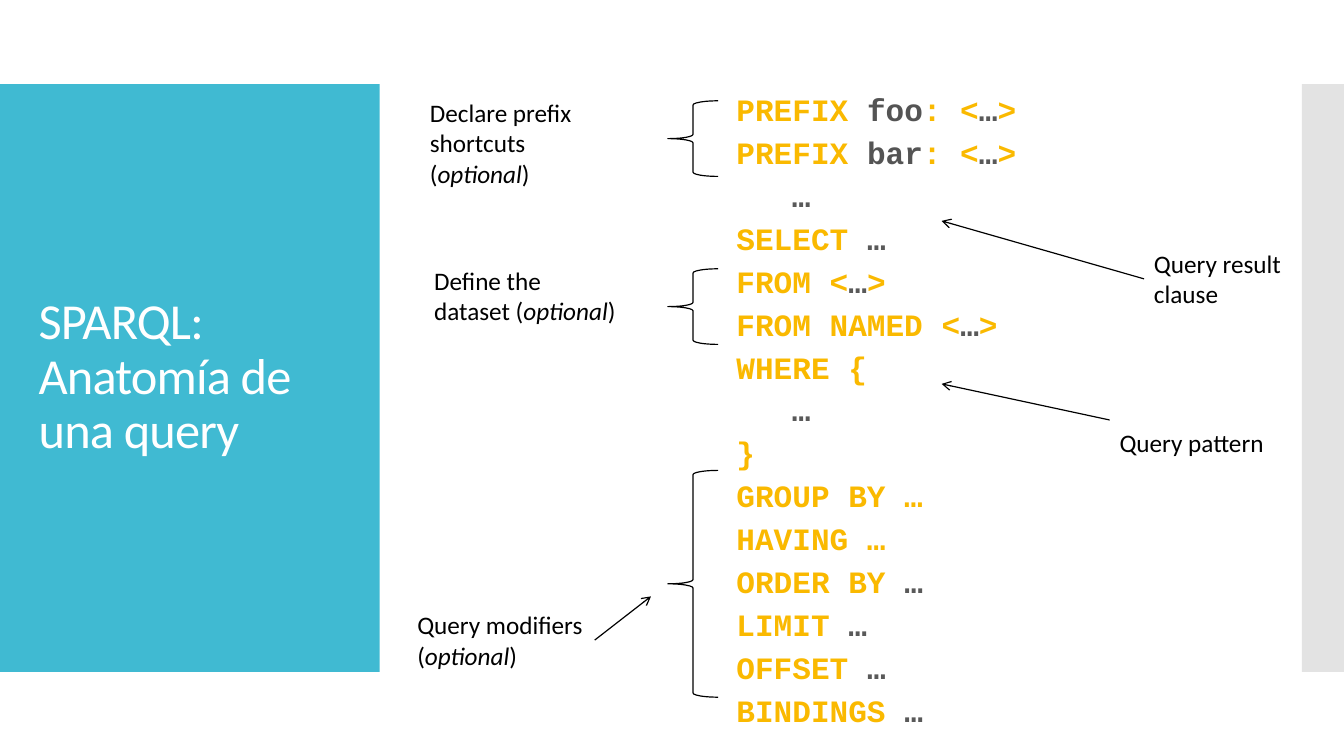
from lxml import etree
from pptx import Presentation
from pptx.dml.color import RGBColor
from pptx.enum.shapes import MSO_CONNECTOR, MSO_SHAPE
from pptx.enum.text import MSO_ANCHOR, PP_ALIGN
from pptx.oxml.ns import qn
from pptx.util import Inches, Pt

RECTANGLE = MSO_SHAPE.RECTANGLE
BRACE = MSO_SHAPE.RIGHT_BRACE
STRAIGHT = MSO_CONNECTOR.STRAIGHT
MIDDLE, TOP = MSO_ANCHOR.MIDDLE, MSO_ANCHOR.TOP
LEFT = PP_ALIGN.LEFT

COLUMNS, ROWS = 160, 90
CELL = Inches(1 / 12)

WHITE, BLACK, TEAL, SILVER = "FFFFFF", "000000", "40BAD2", "C8C8C8"
KEYWORD, NAME, ELLIPSIS = "FAB900", "545454", "595959"


def colour(value):
    return RGBColor.from_string(value)


def cells(*counts):
    return [round(count * CELL) for count in counts]


def assign(target, values):
    for key, value in values.items():
        setattr(target, key, value)


class QuerySlide:
    title_font = {"name": "Calibri", "size": Pt(36), "bold": False}
    label_font = {"name": "Calibri", "size": Pt(18)}
    code_font = {"name": "Courier New", "size": Pt(22.2), "bold": True}
    code_spacing = {"line_spacing": 0.7, "space_before": Pt(12), "alignment": LEFT}
    title_spacing = {"line_spacing": 0.9, "space_before": Pt(0), "alignment": LEFT}
    line_width = Pt(0.85)

    def __init__(self, presentation):
        self.slide = presentation.slides.add_slide(presentation.slide_layouts[5])
        self.shapes = self.slide.shapes

    def run(self, paragraph, text, font, shade):
        run = paragraph.add_run()
        run.text = text
        assign(run.font, font)
        run.font.color.rgb = colour(shade)
        return run

    def title(self, text, *area):
        heading = self.shapes.title
        assign(heading, dict(zip(("left", "top", "width", "height"), cells(*area))))
        assign(heading.text_frame, {"word_wrap": True, "vertical_anchor": MIDDLE})
        paragraph = heading.text_frame.paragraphs[0]
        assign(paragraph, self.title_spacing)
        run = self.run(paragraph, text, self.title_font, WHITE)
        run.font._element.set("spc", "-60")

    def band(self, fill, *area, opacity=None):
        band = self.shapes.add_shape(RECTANGLE, *cells(*area))
        band.shadow.inherit = False
        band.fill.solid()
        band.fill.fore_color.rgb = colour(fill)
        band.line.fill.background()
        if opacity:
            tone = band._element.spPr.find(".//" + qn("a:srgbClr"))
            etree.SubElement(tone, qn("a:alpha")).set("val", str(opacity * 1000))
        self.shapes._spTree.insert(2, band._element)

    def stroke(self, line):
        line.color.rgb = colour(BLACK)
        line.width = self.line_width

    def brace(self, *area):
        brace = self.shapes.add_shape(BRACE, *cells(*area))
        brace.rotation = 180
        brace.shadow.inherit = False
        brace.fill.background()
        self.stroke(brace.line)

    def arrow(self, *ends):
        arrow = self.shapes.add_connector(STRAIGHT, *cells(*ends))
        self.stroke(arrow.line)
        properties = arrow._element.spPr
        head = etree.SubElement(properties.find(qn("a:ln")), qn("a:tailEnd"))
        head.set("type", "arrow")
        etree.SubElement(properties, qn("a:effectLst"))

    def paragraphs(self, lines, area, frame_format):
        frame = self.shapes.add_textbox(*cells(*area)).text_frame
        assign(frame, frame_format)
        for number, line in enumerate(lines):
            paragraph = frame.add_paragraph() if number else frame.paragraphs[0]
            yield paragraph, line.split("|")

    def label(self, lines, *area):
        for paragraph, parts in self.paragraphs(lines, area, {"word_wrap": False}):
            for position, text in enumerate(parts):
                run = self.run(paragraph, text, self.label_font, BLACK)
                run.font.italic = position % 2 == 1

    def code(self, lines, *area):
        frame_format = {"word_wrap": True, "vertical_anchor": TOP, "margin_top": 0}
        for paragraph, parts in self.paragraphs(lines, area, frame_format):
            assign(paragraph, self.code_spacing)
            if not parts[0]:
                paragraph._p.get_or_add_pPr().set("marL", str(Inches(0.55)))
            for position, text in enumerate(parts):
                argument = ELLIPSIS if text == "…" else NAME
                shade = argument if position % 2 else KEYWORD
                if text:
                    self.run(paragraph, text, self.code_font, shade)


QUERY = [
    "PREFIX |foo|: <|…|>",
    "PREFIX |bar|: <|…|>",
    "|…",
    "SELECT |…",
    "FROM <|…|>",
    "FROM NAMED <|…|>",
    "WHERE {",
    "|…",
    "}",
    "GROUP BY …",
    "HAVING …",
    "ORDER BY |…",
    "LIMIT |…",
    "OFFSET |…",
    "BINDINGS |…",
]
LABELS = [
    (["Declare prefix", "shortcuts", "(|optional|)"], 50, 11, 19.4, 12.1),
    (["Query result", "clause"], 136.2, 29, 18.4, 8.5),
    (["Query pattern"], 132.1, 50.3, 19.8, 4.8),
    (["Query modifiers", "(|optional|)"], 48.5, 72, 22.3, 8.5),
    (["Define the", "dataset (|optional|)"], 50.5, 31, 24.4, 8.5),
]
ARROWS = [
    (132.1, 50, 112.1, 45.7),
    (136.2, 33.2, 112.1, 26.3),
    (70.8, 76.2, 77.5, 71),
]
BRACES = [(12, 9), (32, 9), (56, 27)]


def main():
    presentation = Presentation()
    presentation.slide_width, presentation.slide_height = cells(COLUMNS, ROWS)
    anatomy = QuerySlide(presentation)
    anatomy.band(TEAL, 0, 10, 45.2, 70)
    anatomy.band(SILVER, 155, 10, 5, 70, opacity=50)
    anatomy.title("SPARQL: Anatomía de una query", 3.4, 14.8, 38.6, 60.4)
    anatomy.code(QUERY, 86.5, 12, 42, 76)
    for lines, *area in LABELS:
        anatomy.label(lines, *area)
    for ends in ARROWS:
        anatomy.arrow(*ends)
    for top, height in BRACES:
        anatomy.brace(79.5, top, 6, height)
    presentation.save("out.pptx")


if __name__ == "__main__":
    main()
